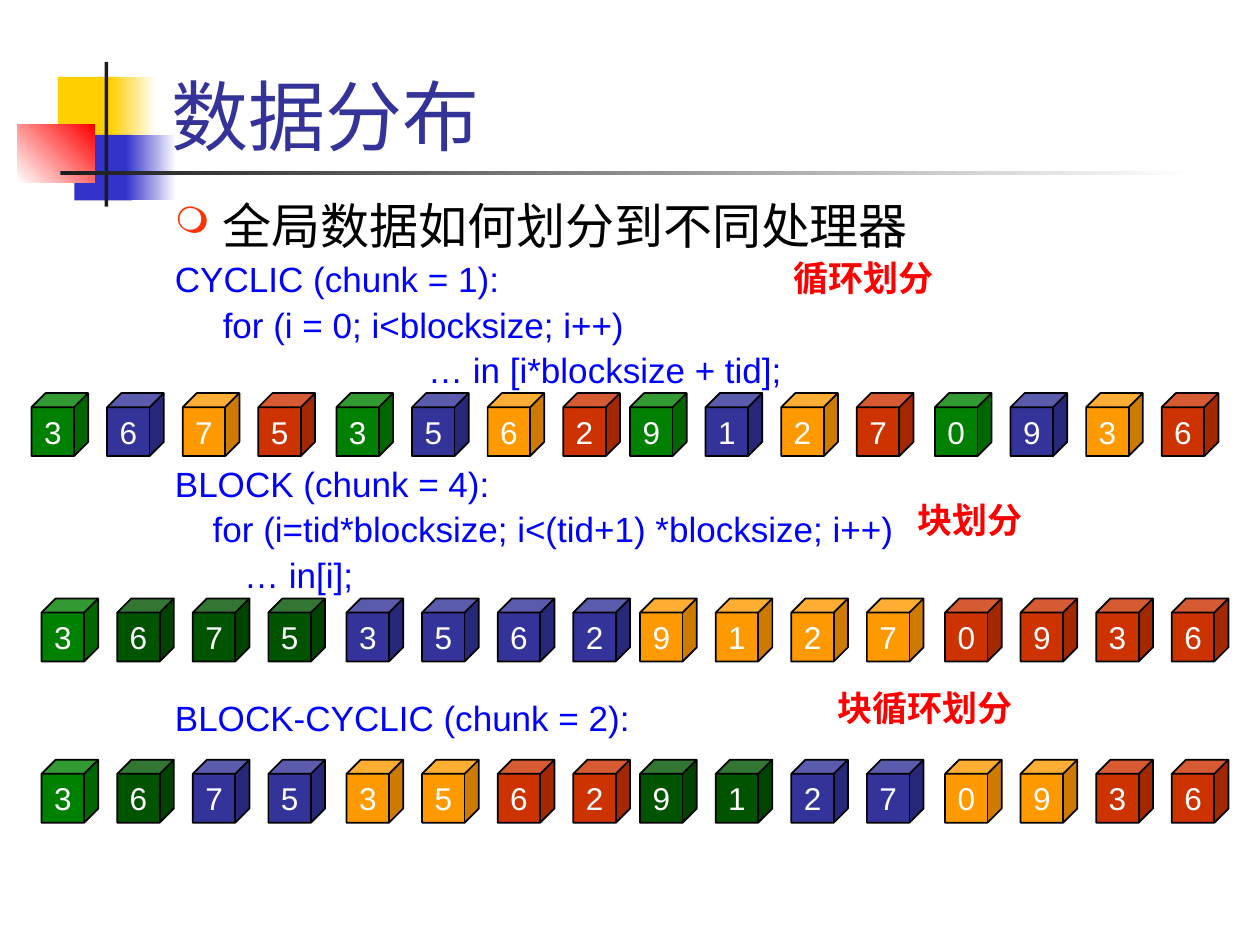
from pptx import Presentation
from pptx.dml.color import RGBColor
from pptx.enum.shapes import MSO_SHAPE
from pptx.enum.text import MSO_ANCHOR, PP_ALIGN
from pptx.util import Inches, Pt
from lxml.etree import SubElement
from pptx.oxml.ns import qn

COLORS = {
    "gold": "FFCF01", "royal": "3333CC", "red": "FF0000", "ink": "1C1C1C",
    "white": "FFFFFF", "black": "000000", "title": "333399", "code": "0000FF",
    "bullet": "FF3300", "g": "008000", "d": "005400", "b": "333399",
    "o": "FF9900", "r": "CC3300",
}
DIGITS = "3675356291270936"
STARTS = (0, 2.42, 4.75, 7.17)
STEP = 0.6
ROWS = [
    (0.25, 3.12, "gbor" * 4),
    (0.33, 4.75, "gddd" + "bbbb" + "oooo" + "rrrr"),
    (0.33, 6.03, "gdbboorr" + "ddbboorr"),
]
DECOR = [
    ((0.46, 0.61, 0.48, 0.52), ("gold",), 0),
    ((0.88, 0.61, 0.36, 0.52), ("gold", "white"), 0),
    ((0.59, 1.07, 0.46, 0.52), ("royal",), 0),
    ((1, 1.07, 0.4, 0.52), ("royal", "white"), 0),
    ((0.14, 0.99, 0.61, 0.46), ("white", "red"), 45),
    ((0.83, 0.49, 0.03, 1.15), ("ink",), 0),
    ((0.48, 1.36, 9, 0.03), ("ink", "white"), 0),
]
CODE = [
    ("CYCLIC (chunk = 1):", 0, 2),
    ("for (i = 0; i<blocksize; i++)", 0.38, 2),
    ("… in [i*blocksize + tid];", 2.01, 2),
    ("BLOCK (chunk = 4):", 0, 41),
    ("for (i=tid*blocksize; i<(tid+1) *blocksize; i++)", 0.3, 2),
    ("… in[i];", 0.55, 2),
    ("BLOCK-CYCLIC (chunk = 2):", 0, 58),
]
LABELS = [
    ("循环划分", (6.2, 1.99, 1.33, 0.44)),
    ("块划分", (7.18, 3.91, 1.05, 0.44)),
    ("块循环划分", (6.55, 5.4, 1.61, 0.44)),
]


def color(name):
    return RGBColor.from_string(COLORS[name])


def place(box):
    return [Inches(size) for size in box]


def style(para, font, size, name, bold=False):
    for run in para.runs:
        run.font.name = font
        run.font.size = Pt(size)
        run.font.bold = bold
        run.font.color.rgb = color(name)


def add_box(slide, box, wrap=True):
    frame = slide.shapes.add_textbox(*place(box)).text_frame
    frame.word_wrap = wrap
    return frame


def add_decor(slide):
    for box, tones, angle in DECOR:
        shape = slide.shapes.add_shape(MSO_SHAPE.RECTANGLE, *place(box))
        shape.shadow.inherit = False
        shape.line.fill.background()
        if len(tones) == 1:
            shape.fill.solid()
            shape.fill.fore_color.rgb = color(tones[0])
        else:
            shape.fill.gradient()
            shape.fill.gradient_angle = angle
            for stop, tone in zip(shape.fill.gradient_stops, tones):
                stop.color.rgb = color(tone)


def add_title(slide, box):
    frame = add_box(slide, box)
    frame.vertical_anchor = MSO_ANCHOR.BOTTOM
    frame.text = "数据分布"
    style(frame.paragraphs[0], "Times New Roman", 44, "title")


def indent(para, left, first=0):
    props = para._p.get_or_add_pPr()
    props.set("marL", str(Inches(left)))
    props.set("indent", str(Inches(first)))
    return props


def add_body(slide, box):
    frame = add_box(slide, box)
    frame.text = "全局数据如何划分到不同处理器"
    lead = frame.paragraphs[0]
    props = indent(lead, 0.38, -0.38)
    tint = SubElement(props, qn("a:buClr"))
    SubElement(tint, qn("a:srgbClr"), val=COLORS["bullet"])
    SubElement(props, qn("a:buSzPct"), val="75000")
    SubElement(props, qn("a:buChar"), char="❍")
    style(lead, "Times New Roman", 28, "black")
    for text, left, gap in CODE:
        para = frame.add_paragraph()
        para.text = text
        indent(para, left)
        para.space_before = Pt(gap)
        style(para, "Arial", 20, "code")


def add_cubes(slide, left, top, tones):
    group = slide.shapes.add_group_shape()
    for i, (digit, tone) in enumerate(zip(DIGITS, tones)):
        x = left + STARTS[i // 4] + i % 4 * STEP
        cube = group.shapes.add_shape(MSO_SHAPE.CUBE, *place((x, top, 0.45, 0.5)))
        cube.shadow.inherit = False
        cube.fill.solid()
        cube.fill.fore_color.rgb = color(tone)
        cube.line.color.rgb = color("black")
        cube.line.width = Pt(1)
        frame = cube.text_frame
        frame.word_wrap = False
        frame.vertical_anchor = MSO_ANCHOR.MIDDLE
        frame.text = digit
        para = frame.paragraphs[0]
        para.alignment = PP_ALIGN.CENTER
        style(para, "Arial", 18, "white")


def add_label(slide, text, box):
    frame = add_box(slide, box, wrap=False)
    frame.text = text
    style(frame.paragraphs[0], "Cabin", 20, "red", bold=True)


def main():
    deck = Presentation()
    deck.slide_width, deck.slide_height = Inches(10), Inches(7.5)
    slide = deck.slides.add_slide(deck.slide_layouts[6])
    add_decor(slide)
    add_title(slide, (1.26, 0.08, 8.52, 1.25))
    add_body(slide, (1.29, 1.5, 8.5, 5.17))
    for left, top, tones in ROWS:
        add_cubes(slide, left, top, tones)
    for text, box in LABELS:
        add_label(slide, text, box)
    deck.save("out.pptx")


if __name__ == "__main__":
    main()
